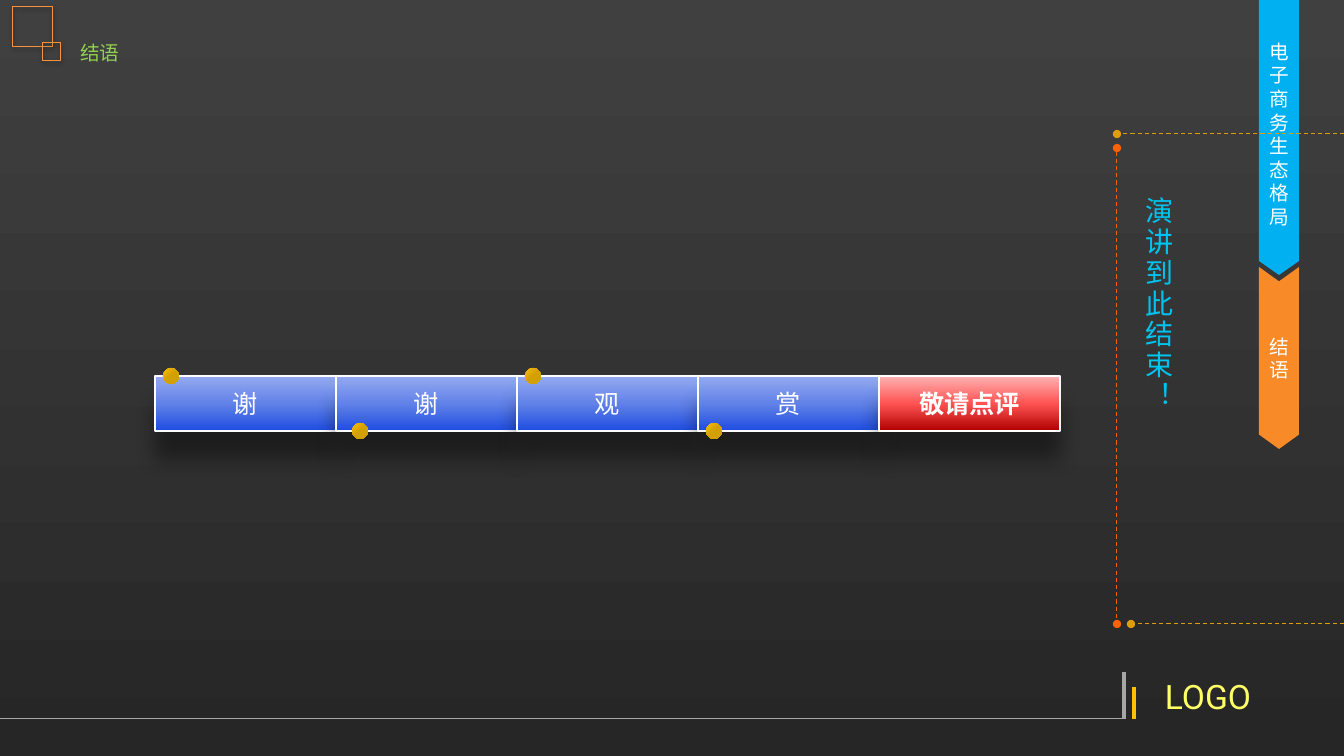
from lxml.etree import SubElement
from pptx import Presentation
from pptx.dml.color import RGBColor
from pptx.enum.dml import MSO_LINE_DASH_STYLE as Dash
from pptx.enum.shapes import MSO_CONNECTOR as Connector, MSO_SHAPE as Shape
from pptx.enum.text import MSO_ANCHOR as Anchor, MSO_AUTO_SIZE as AutoSize, PP_ALIGN as Align
from pptx.oxml.ns import qn
from pptx.util import Pt

SLIDE_WIDTH, SLIDE_HEIGHT = 1344, 756
EMU_PER_PX = 12192000 / SLIDE_WIDTH


def px(length):
    return round(length * EMU_PER_PX)


def color(hex_string):
    return RGBColor.from_string(hex_string)


class SlideBuilder:
    CJK, LATIN = "Noto Sans CJK SC", "Roboto"
    WHITE, GRAY, ORANGE = "FFFFFF", "A6A6A6", "F69240"
    GOLD_LINE, RED_LINE = "DC9F0B", "FC6204"
    BLUE = [(0, "94AAF0"), (50, "6282E8"), (100, "1E4CE0")]
    RED = [(0, "FFB3B3"), (50, "FF5353"), (100, "B00000")]
    GOLD = [(0, "FFC000"), (50, "D2A000")]
    BACKDROP = [(0, "404040"), (100, "262626")]

    def __init__(self, presentation):
        self.slide = presentation.slides.add_slide(presentation.slide_layouts[5])
        self.shapes = self.slide.shapes
        self.gradient(self.slide.background.fill, self.slide.element, self.BACKDROP, 90)

    def gradient(self, fill, element, stops, angle):
        fill.gradient()
        fill.gradient_angle = 360 - angle
        stop_list = next(element.iter(qn("a:gsLst")))
        stop_list.clear()
        for position, value in stops:
            stop = SubElement(stop_list, qn("a:gs"), pos=str(position * 1000))
            SubElement(stop, qn("a:srgbClr"), val=value)

    def label(self, shape, text, size, value, font=CJK, align=Align.CENTER,
              anchor=Anchor.MIDDLE, bold=False, direction=None, spacing=0):
        frame = shape.text_frame
        frame.text = text
        frame.word_wrap = True
        frame.auto_size = AutoSize.NONE
        frame.vertical_anchor = anchor
        if direction:
            next(shape.element.iter(qn("a:bodyPr"))).set("vert", direction)
        paragraph = frame.paragraphs[0]
        paragraph.alignment = align
        run = paragraph.runs[0]
        run.font.size, run.font.bold, run.font.name = Pt(size), bold, font
        run.font.color.rgb = color(value)
        properties = next(shape.element.iter(qn("a:rPr")))
        SubElement(properties, qn("a:ea"), typeface=font)
        if spacing:
            properties.set("spc", str(spacing * 100))

    def title(self, text, left, top, width, height):
        title = self.shapes.title
        title.left, title.top, title.width, title.height = map(px, (left, top, width, height))
        title.text_frame.margin_left = 0
        self.label(title, text, 14, "92D050", align=Align.LEFT, anchor=Anchor.TOP)

    def text(self, text, left, top, width, height, size, value, **style):
        box = self.shapes.add_textbox(*map(px, (left, top, width, height)))
        self.label(box, text, size, value, anchor=Anchor.TOP, **style)

    def shape(self, kind, left, top, width, height, fill=None, angle=90,
              line=None, weight=1, shadow=None):
        shape = self.shapes.add_shape(kind, *map(px, (left, top, width, height)))
        if isinstance(fill, list):
            self.gradient(shape.fill, shape.element, fill, angle)
        elif fill:
            shape.fill.solid()
            shape.fill.fore_color.rgb = color(fill)
        else:
            shape.fill.background()
        if line:
            shape.line.color.rgb = color(line)
            shape.line.width = Pt(weight)
        else:
            shape.line.fill.background()
        shape.shadow.inherit = False
        if shadow:
            self.drop_shadow(shape, *shadow)
        return shape

    def drop_shadow(self, shape, blur, distance, opacity):
        effects = next(shape.element.iter(qn("a:effectLst")))
        outer = SubElement(effects, qn("a:outerShdw"), blurRad=str(Pt(blur)),
                           dist=str(Pt(distance)), dir="5400000", rotWithShape="0")
        black = SubElement(outer, qn("a:srgbClr"), val="000000")
        SubElement(black, qn("a:alpha"), val=str(opacity * 1000))

    def ribbon(self, kind, text, top, length, notch, fill):
        """Arrow turned to point down, with upright text, centred on the side strip."""
        center, breadth = 1279, 40
        shape = self.shape(kind, center - length / 2, top + (length - breadth) / 2,
                           length, breadth, fill)
        shape.rotation = 90
        shape.adjustments[0] = notch
        self.label(shape, text, 14, self.WHITE, direction="vert270")

    def line(self, start, end, value, weight=0.75, dashed=False, dots=()):
        line = self.shapes.add_connector(Connector.STRAIGHT, *map(px, (*start, *end)))
        line.line.color.rgb = color(value)
        line.line.width = Pt(weight)
        if dashed:
            line.line.dash_style = Dash.DASH
        outline = next(line.element.iter(qn("a:ln")))
        for dot in dots:
            SubElement(outline, qn(f"a:{dot}"), type="oval")
        SubElement(outline.getparent(), qn("a:effectLst"))


def main():
    presentation = Presentation()
    presentation.slide_width, presentation.slide_height = px(SLIDE_WIDTH), px(SLIDE_HEIGHT)
    builder = SlideBuilder(presentation)

    # Footer mark and rules
    builder.text("LOGO", 1140, 671, 136, 50, 24, "FFFF66", font=builder.LATIN)
    builder.line((0, 719), (1124, 719), builder.GRAY)
    builder.line((1124, 719), (1124, 672), builder.GRAY, weight=3)
    builder.line((1134, 719), (1134, 687), "FFC000", weight=3)

    # Title with corner squares
    for left, top, side in ((13, 7, 40), (43, 43, 18)):
        builder.shape(Shape.RECTANGLE, left, top, side, side,
                      line=builder.ORANGE, weight=0.75, shadow=(3.1, 1.6, 38))
    builder.title("结语", 80, 36, 258, 34)

    # Side ribbons
    builder.ribbon(Shape.CHEVRON, "结语", 267, 182, 0.36, "F88A28")
    builder.ribbon(Shape.PENTAGON, "电子商务生态格局", 0, 275, 0.35, "00B0F0")

    # Row of thank-you boxes
    row_left, row_top, box_width, box_height = 155, 376, 181, 55
    words = ["谢", "谢", "观", "赏", "敬请点评"]
    for index, word in enumerate(words):
        last = index == len(words) - 1
        box = builder.shape(Shape.RECTANGLE, row_left + index * box_width, row_top,
                            box_width, box_height, builder.RED if last else builder.BLUE,
                            line=builder.WHITE, shadow=(15, 20, 40))
        builder.label(box, word, 18, builder.WHITE, bold=last)

    # Gold dots, alternating between the top and bottom edges
    dot = 16
    for index, inset in enumerate((8, 16, 8, 8)):
        edge = row_top + index % 2 * box_height
        builder.shape(Shape.OVAL, row_left + index * box_width + inset, edge - dot // 2,
                      dot, dot, builder.GOLD, angle=45)

    # Dashed frame around the closing words
    builder.line((SLIDE_WIDTH, 134), (1117, 134), builder.GOLD_LINE,
                 dashed=True, dots=["tailEnd"])
    builder.line((1117, 148), (1117, 624), builder.RED_LINE,
                 dashed=True, dots=["headEnd", "tailEnd"])
    builder.line((SLIDE_WIDTH, 624), (1131, 624), builder.GOLD_LINE,
                 dashed=True, dots=["tailEnd"])
    builder.text("演讲到此结束！", 1126, 187, 54, 334, 20, "00C4F0",
                 align=Align.LEFT, direction="eaVert", spacing=2)

    presentation.save("out.pptx")


if __name__ == "__main__":
    main()
